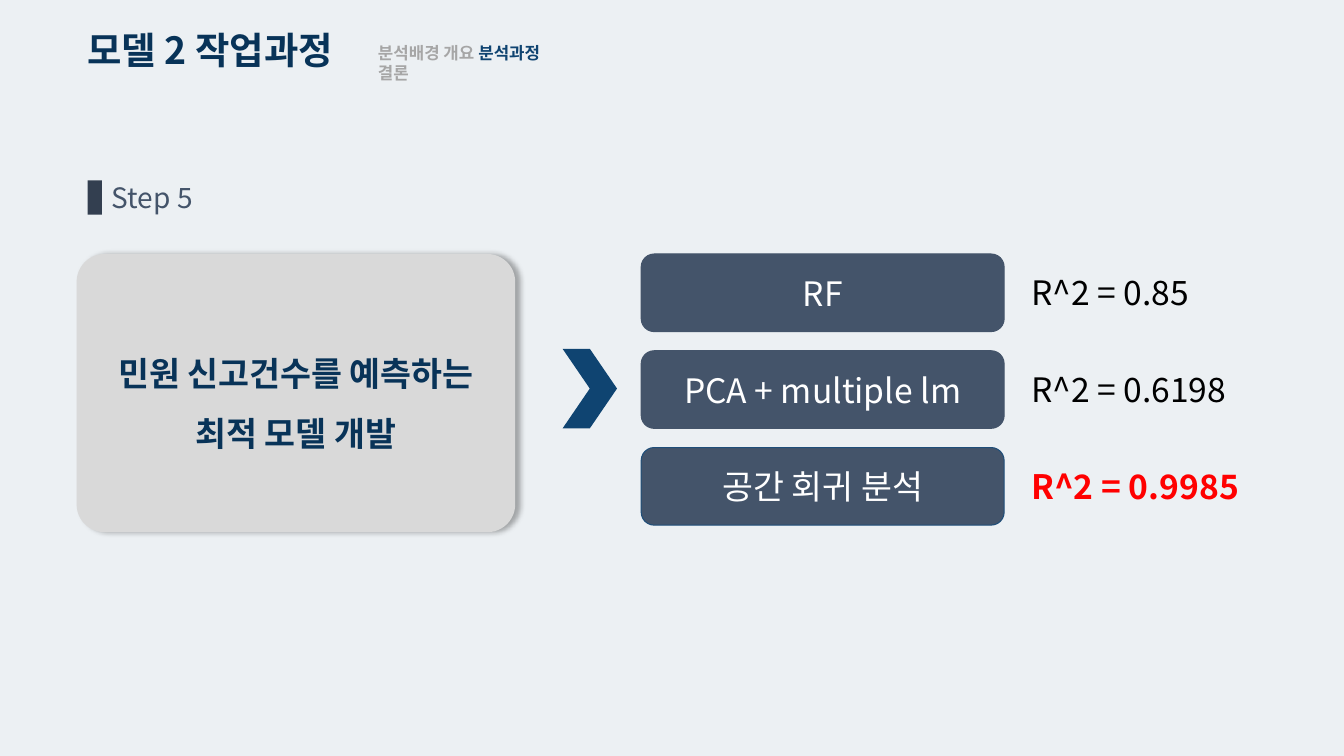
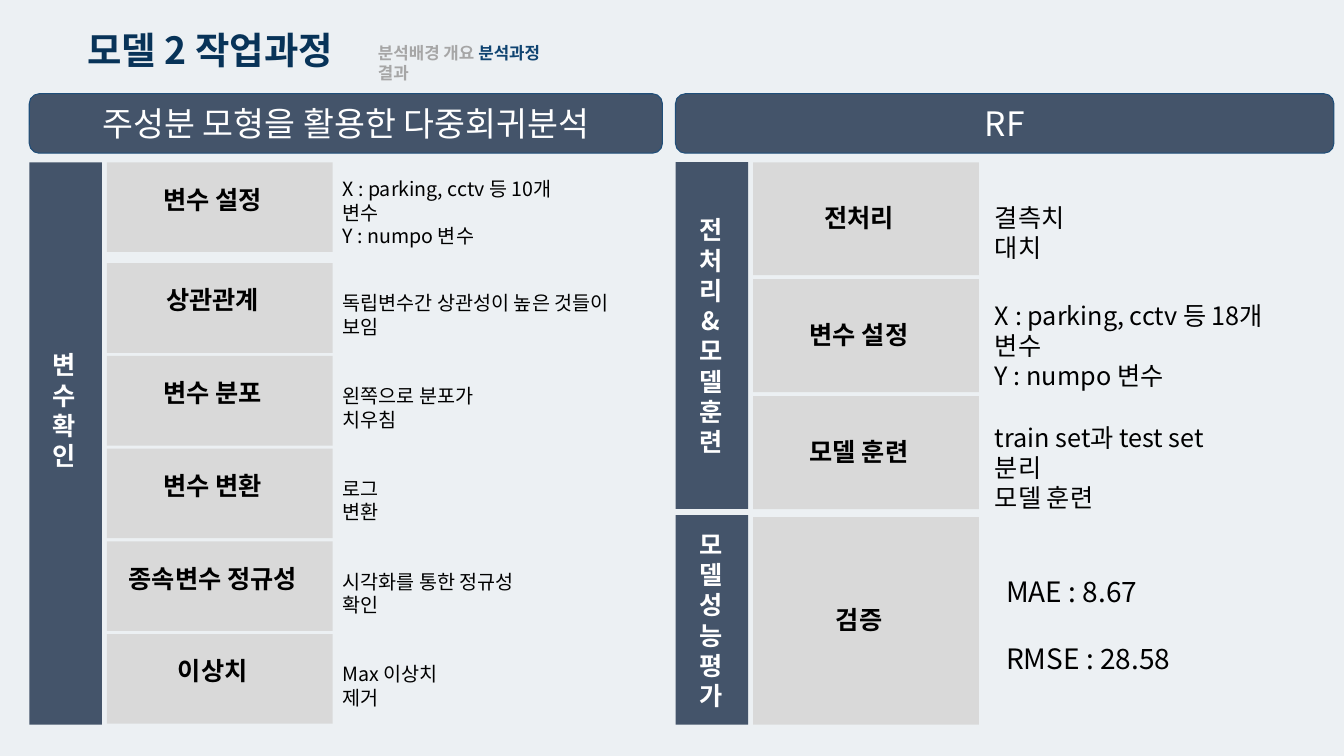
from lxml import etree
from pptx import Presentation
from pptx.dml.color import RGBColor
from pptx.enum.shapes import MSO_SHAPE
from pptx.enum.text import MSO_ANCHOR, MSO_AUTO_SIZE, PP_ALIGN
from pptx.oxml.ns import qn
from pptx.util import Pt

RECT = MSO_SHAPE.RECTANGLE
ROUND = MSO_SHAPE.ROUNDED_RECTANGLE
CHEVRON = MSO_SHAPE.CHEVRON
TOP, MIDDLE = MSO_ANCHOR.TOP, MSO_ANCHOR.MIDDLE
LEFT, CENTER = PP_ALIGN.LEFT, PP_ALIGN.CENTER
NO_FIT = MSO_AUTO_SIZE.NONE

EMU_PER_PX = 9144
FONT = "Noto Sans CJK KR"
TITLE_ONLY = 5
INSETS = (10, 5, 10, 5)
COLORS = {
    "background": "ECF0F3",
    "navy": "083358",
    "blue": "0F4471",
    "slate": "44546A",
    "marker": "333F50",
    "edge": "1F4E79",
    "tile": "D9D9D9",
    "muted": "A6A6A6",
    "black": "000000",
    "white": "FFFFFF",
    "red": "FF0000",
}


def px(length):
    return length * EMU_PER_PX


def rgb(color):
    return RGBColor.from_string(COLORS[color])


class Deck:
    def __init__(self):
        self.prs = Presentation()
        self.prs.slide_width = px(1333)
        self.prs.slide_height = px(750)
        fill = self.prs.slide_master.background.fill
        fill.solid()
        fill.fore_color.rgb = rgb("background")
        self.slide = None

    def start(self, title, sections):
        layout = self.prs.slide_layouts[TITLE_ONLY]
        self.slide = self.prs.slides.add_slide(layout)
        heading = self.slide.shapes.title
        heading.left, heading.top = px(61), px(22)
        heading.width, heading.height = px(295), px(55)
        self.set_lines(heading, [title], 26.7, "navy", True, CENTER,
                       insets=(0, 5, 0, 5))
        trail = self.text((365, 37, 195, 50), [""], 12)
        paragraph = trail.text_frame.paragraphs[0]
        for section, color in sections:
            run = paragraph.add_run()
            run.text = section
            self.style(run, 12, color, True)

    def style(self, run, size, color, bold):
        run.font.size = Pt(size)
        run.font.bold = bold
        run.font.color.rgb = rgb(color)
        run.font.name = FONT
        east_asian = etree.SubElement(run.font._element, qn("a:ea"))
        east_asian.set("typeface", FONT)

    def set_lines(self, shape, lines, size, color="black", bold=False, align=LEFT,
                  anchor=TOP, insets=INSETS, spacing=1.2, gap=0):
        frame = shape.text_frame
        frame.word_wrap = True
        frame.auto_size = NO_FIT
        frame.vertical_anchor = anchor
        frame.margin_left, frame.margin_top, frame.margin_right, frame.margin_bottom = map(px, insets)
        frame.text = "\n".join(lines)
        for index, paragraph in enumerate(frame.paragraphs):
            paragraph.alignment = align
            paragraph.line_spacing = Pt(round(size * spacing, 1))
            paragraph.space_before = Pt(gap if index else 0)
            for run in paragraph.runs:
                self.style(run, size, color, bold)

    def text(self, box, lines, size, color="black", bold=False, gap=0):
        label = self.slide.shapes.add_textbox(*map(px, box))
        self.set_lines(label, lines, size, color, bold, gap=gap)
        return label

    def shape(self, kind, box, fill, line=None):
        shape = self.slide.shapes.add_shape(kind, *map(px, box))
        shape.shadow.inherit = False
        shape.fill.solid()
        shape.fill.fore_color.rgb = rgb(fill)
        if line:
            shape.line.color.rgb = rgb(line)
            shape.line.width = Pt(0.75)
        else:
            shape.line.fill.background()
        return shape

    def button(self, box, caption, line="edge"):
        button = self.shape(ROUND, box, "slate", line)
        self.set_lines(button, [caption], 24, "white", align=CENTER, anchor=MIDDLE)

    def tile(self, box, caption, lift):
        tile = self.shape(RECT, box, "tile")
        self.set_lines(tile, [caption], 18, bold=True, align=CENTER,
                       anchor=MIDDLE, insets=(0, 0, 14, lift))

    def bar(self, box, lines, lift=0):
        bar = self.shape(RECT, box, "slate")
        self.set_lines(bar, lines, 18, "white", True, CENTER, MIDDLE,
                       insets=(22, 0, 24, lift))

    def card(self, box, lines):
        card = self.shape(ROUND, box, "tile")
        card.adjustments[0] = 0.1
        effects = card._element.spPr.find(qn("a:effectLst"))
        shadow = etree.SubElement(effects, qn("a:outerShdw"), blurRad=str(Pt(4)),
                                  dist=str(Pt(3)), dir="0", algn="l", rotWithShape="0")
        tint = etree.SubElement(shadow, qn("a:srgbClr"), val=COLORS["black"])
        etree.SubElement(tint, qn("a:alpha"), val="31000")
        self.set_lines(card, lines, 24, "navy", True, CENTER, MIDDLE, spacing=1.8)

    def steps(self, left, height, lift, note_left, note_size, rows):
        for top, caption, note, note_width, drop in rows:
            self.tile((left, top, 224, height), caption, lift)
            self.text((note_left, top + drop, note_width, 76), note, note_size)


def sections(last):
    return [("분석배경 개요 ", "muted"), ("분석과정", "blue"), (" " + last, "muted")]


def build_comparison(deck):
    deck.start("모델 2 작업과정", sections("결론"))
    deck.text((101, 174, 192, 44), ["Step 5"], 20, "slate")
    deck.shape(RECT, (87, 179, 14, 34), "marker")
    deck.card((76, 252, 435, 276), ["민원 신고건수를 예측하는", "최적 모델 개발"])
    deck.shape(CHEVRON, (558, 346, 54, 79), "blue")
    models = [
        ("RF", "R^2 = 0.85", False),
        ("PCA + multiple lm", "R^2 = 0.6198", False),
        ("공간 회귀 분석", "R^2 = 0.9985", True),
    ]
    for index, (model, score, best) in enumerate(models):
        top = 252 + 96 * index
        deck.button((636, top, 360, 77), model, "edge" if best else "slate")
        deck.text((1013, top + 13, 305, 50), [score], 24,
                  "red" if best else "black", best)


def build_process(deck):
    deck.start("모델 2 작업과정", sections("결과"))
    deck.button((29, 93, 628, 59), "주성분 모형을 활용한 다중회귀분석")
    deck.bar((29, 161, 72, 558), ["변수확인"], lift=66)
    checks = [
        ("상관관계", "독립변수간 상관성이 높은 것들이 보임", 300),
        ("변수 분포", "왼쪽으로 분포가 치우침", 180),
        ("변수 변환", "로그 변환", 85),
        ("종속변수 정규성", "시각화를 통한 정규성 확인", 215),
        ("이상치", "Max 이상치 제거", 140),
    ]
    regression = [(161, "변수 설정", ["X : parking, cctv 등 10개 변수", "Y : numpo 변수"], 262, 10)]
    regression += [(261 + 92 * index, caption, [note], width, 23)
                   for index, (caption, note, width) in enumerate(checks)]
    deck.steps(106, 89, 16, 330, 14, regression)

    deck.button((670, 93, 653, 59), "RF")
    deck.bar((670, 161, 72, 344), ["전처리", "&", "모델", "훈련"])
    deck.bar((670, 511, 72, 208), ["모델", "성능", "평가"])
    deck.steps(747, 112, 3, 977, 18, [
        (161, "전처리", ["결측치 대치"], 120, 35),
        (277, "변수 설정", ["X : parking, cctv 등 18개 변수", "Y : numpo 변수"], 330, 16),
        (393, "모델 훈련", ["train set과 test set 분리", "모델 훈련"], 270, 21),
    ])
    deck.tile((747, 513, 224, 206), "검증", 3)
    deck.text((988, 565, 240, 111), ["MAE : 8.67", "RMSE : 28.58"], 20, gap=24)


def main():
    deck = Deck()
    build_comparison(deck)
    build_process(deck)
    deck.prs.save("out.pptx")


if __name__ == "__main__":
    main()
